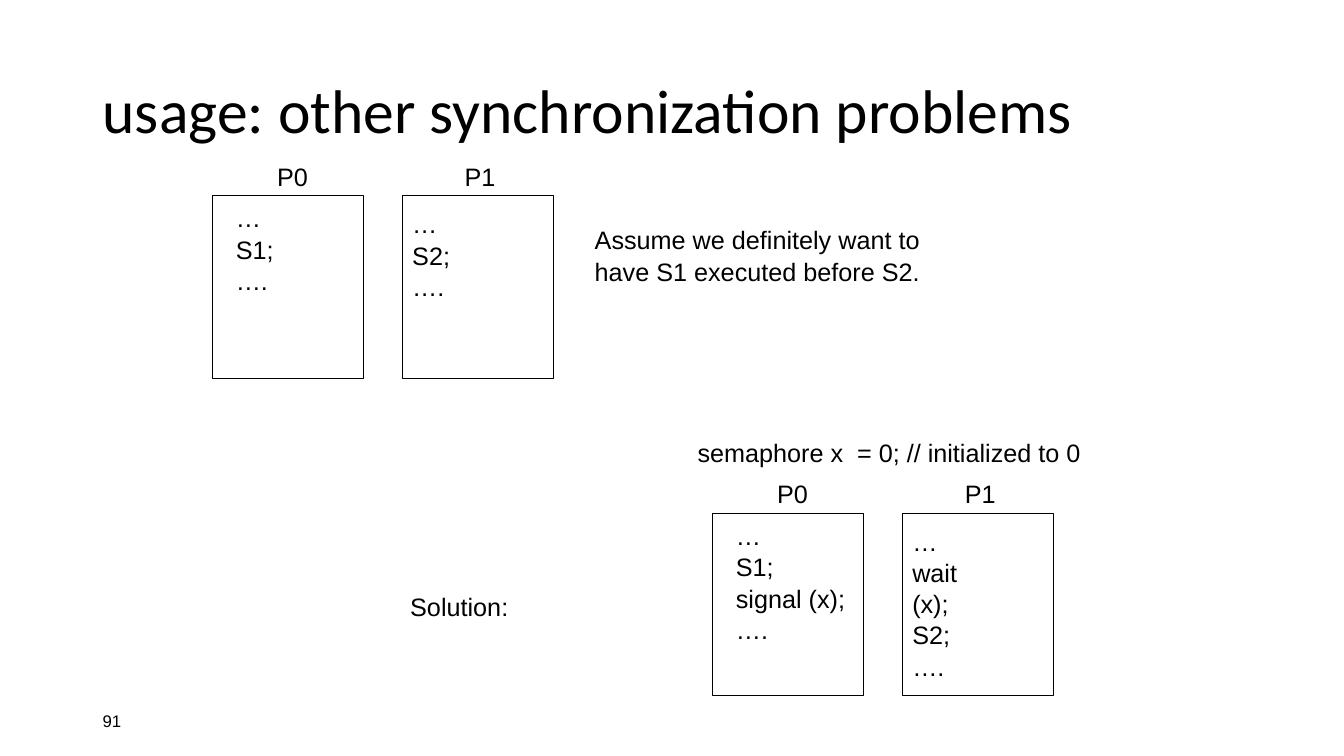
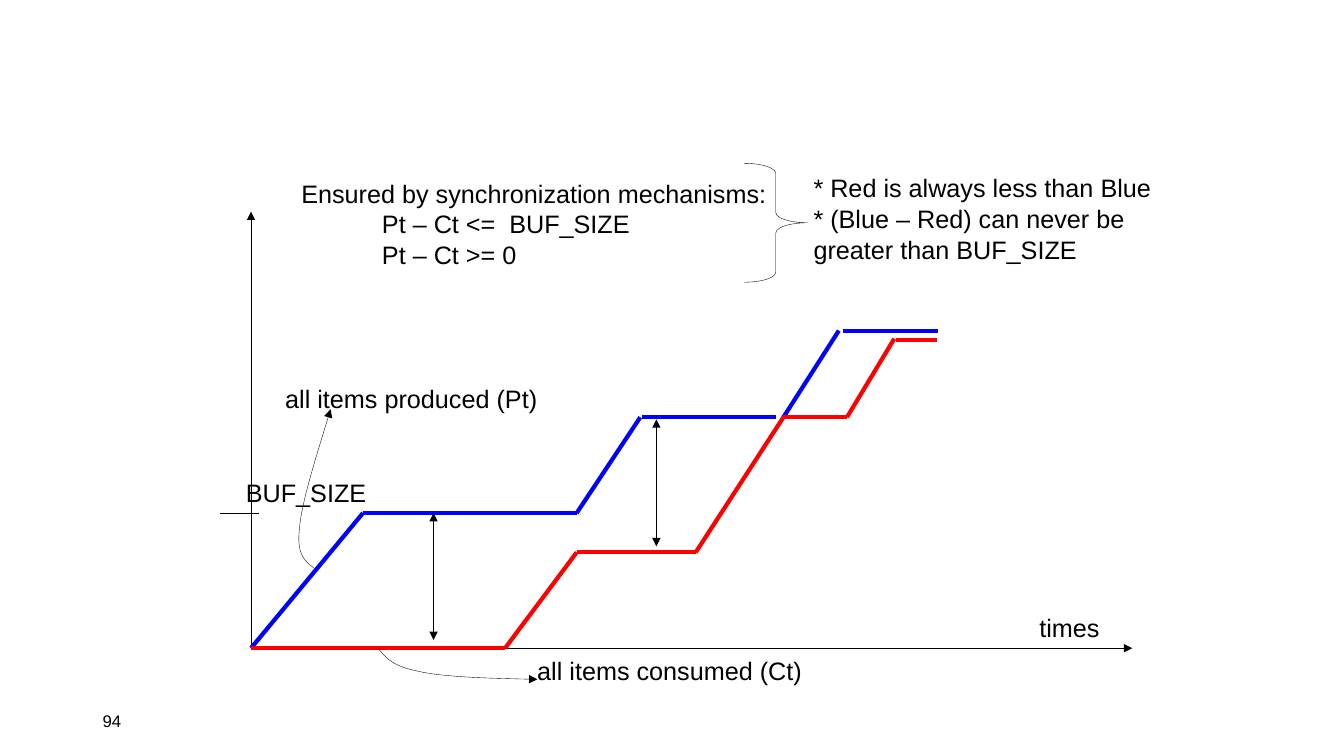
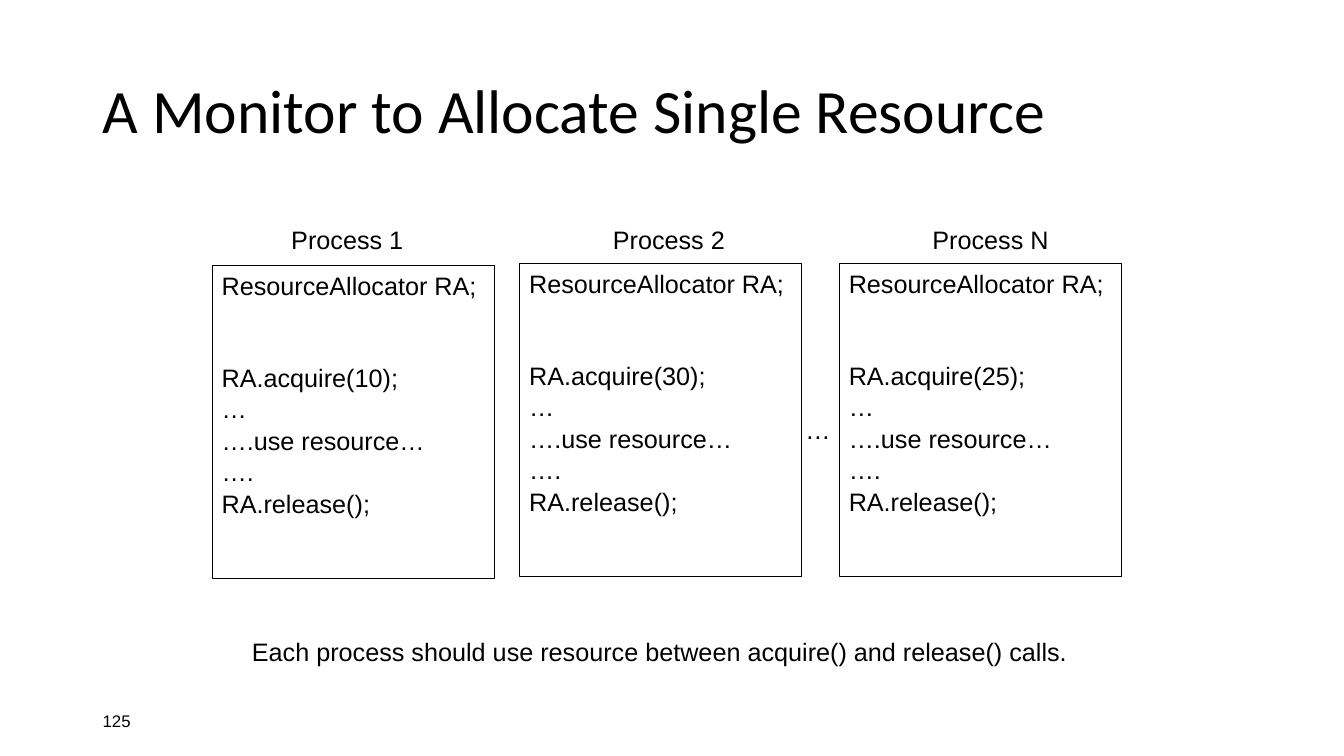
from dataclasses import dataclass
from itertools import pairwise

from lxml.etree import SubElement
from pptx import Presentation
from pptx.dml.color import RGBColor
from pptx.enum.shapes import MSO_CONNECTOR, MSO_SHAPE
from pptx.enum.text import MSO_ANCHOR, MSO_AUTO_SIZE, PP_ALIGN
from pptx.oxml.ns import qn
from pptx.util import Inches, Pt


@dataclass(frozen=True)
class Theme:
    """Colours, fonts, type sizes and line widths of the deck."""

    ink: RGBColor = RGBColor(0, 0, 0)
    produced: RGBColor = RGBColor(0, 0, 255)
    consumed: RGBColor = RGBColor(255, 0, 0)
    title_font: str = "Calibri"
    body_font: str = "Arial"
    title_size: float = 44
    body_size: float = 18
    number_size: float = 12
    hairline: float = 0.25
    curve_width: float = 3
    paragraph_gap: float = 0.9
    code_gap: float = 44.2


THEME = Theme()


def apply(target, values):
    """Set each named attribute of target."""
    for name, value in values.items():
        setattr(target, name, value)


def write(frame, lines, size=THEME.body_size, font=THEME.body_font, gaps=None, spacing=None):
    """Write one paragraph per line, with special gaps before chosen lines."""
    gaps = gaps or {}
    for index, line in enumerate(lines):
        paragraph = frame.paragraphs[0] if index == 0 else frame.add_paragraph()
        paragraph.text = line
        paragraph.alignment = PP_ALIGN.LEFT
        if index:
            paragraph.space_before = Pt(gaps.get(index, THEME.paragraph_gap))
        if spacing:
            paragraph.line_spacing = spacing
        apply(paragraph.font, {"size": Pt(size), "name": font})
        paragraph.font.color.rgb = THEME.ink


def add_text(slide, box, lines, wrap=False, **style):
    """Add a text box that grows with its lines."""
    frame = slide.shapes.add_textbox(*map(Inches, box)).text_frame
    apply(frame, {"word_wrap": wrap, "auto_size": MSO_AUTO_SIZE.SHAPE_TO_FIT_TEXT})
    write(frame, lines, **style)


def add_heading(slide, box, text, **style):
    """Add a fixed box whose text is centred vertically."""
    frame = slide.shapes.add_textbox(*map(Inches, box)).text_frame
    apply(frame, {"word_wrap": True, "vertical_anchor": MSO_ANCHOR.MIDDLE})
    write(frame, [text], **style)


def style_line(line, color=THEME.ink, width=THEME.hairline):
    """Set colour and width of a line."""
    line.color.rgb = color
    line.width = Pt(width)


def add_outline(slide, kind, box):
    """Add an unfilled shape with a thin outline."""
    shape = slide.shapes.add_shape(kind, *map(Inches, box))
    shape.shadow.inherit = False
    shape.fill.background()
    style_line(shape.line)
    return shape


def add_arrowheads(line, ends):
    """Put triangles on the given ends of a line."""
    properties = line.get_or_add_ln() if hasattr(line, "get_or_add_ln") else line._get_or_add_ln()
    for end in ends:
        SubElement(properties, qn(f"a:{end}"), type="triangle")


def add_line(slide, start, end, ends=(), **style):
    """Draw a straight line with optional arrowheads."""
    connector = slide.shapes.add_connector(
        MSO_CONNECTOR.STRAIGHT, *map(Inches, (*start, *end))
    )
    SubElement(connector._element.spPr, qn("a:effectLst"))
    style_line(connector.line, **style)
    add_arrowheads(connector.line, ends)


def bezier(start, first, second, end, steps=16):
    """Return points along a cubic curve, without its start."""
    points = []
    for step in range(1, steps + 1):
        t = step / steps
        weights = ((1 - t) ** 3, 3 * t * (1 - t) ** 2, 3 * t * t * (1 - t), t ** 3)
        controls = (start, first, second, end)
        points.append(tuple(
            sum(weight * control[axis] for weight, control in zip(weights, controls))
            for axis in (0, 1)
        ))
    return points


def add_curved_arrow(slide, start, *pieces):
    """Draw an open curve that ends in an arrowhead."""
    points = [start]
    for piece in pieces:
        points += bezier(points[-1], *piece)
    corners = [(Inches(x), Inches(y)) for x, y in points]
    builder = slide.shapes.build_freeform(*corners[0])
    builder.add_line_segments(corners[1:], close=False)
    arrow = builder.convert_to_shape()
    arrow.shadow.inherit = False
    arrow.fill.background()
    style_line(arrow.line)
    add_arrowheads(arrow.line, ["tailEnd"])


def new_slide(deck, number, title=None):
    """Start a slide with its number and optional title."""
    slide = deck.slides.add_slide(deck.slide_layouts[6])
    add_heading(slide, (0.92, 6.95, 3, 0.4), number, size=THEME.number_size)
    if title:
        add_heading(slide, (0.92, 0.4, 11.5, 1.45), title,
                    size=THEME.title_size, font=THEME.title_font, spacing=0.9)
    return slide


def process_pair(slide, left, top, codes):
    """Draw P0 and P1 side by side with their code."""
    layout = ((0.55, 0.14, 0.02), (0.52, 0, 0.08))
    for index, (code, offsets) in enumerate(zip(codes, layout)):
        label_dx, code_dx, code_dy = offsets
        x = left + index * 1.89
        height = 0.41 + 0.3 * (len(code) - 1)
        width = 0.65 if len(code) == 3 else (1.42, 1.07)[index]
        add_text(slide, (x + code_dx, top + code_dy, width, height), code)
        add_outline(slide, MSO_SHAPE.RECTANGLE, (x, top, 1.5, 1.81))
        add_text(slide, (x + label_dx, top - 0.39, 0.51, 0.41), [f"P{index}"])


def synchronization_slide(deck):
    """Build the ordering problem and its semaphore solution."""
    slide = new_slide(deck, "91", "usage: other synchronization problems")
    process_pair(slide, 2.1, 1.94, (["…", "S1;", "…."], ["…", "S2;", "…."]))
    add_text(slide, (5.8, 2.18, 3.52, 0.71),
             ["Assume we definitely want to", "have S1 executed before S2."])
    add_text(slide, (6.82, 4.29, 4.03, 0.41), ["semaphore x  = 0; // initialized to 0"])
    process_pair(slide, 7.06, 5.09, (["…", "S1;", "signal (x);", "…."],
                                     ["…", "wait (x);", "S2;", "…."]))
    add_text(slide, (3.97, 5.82, 1.18, 0.41), ["Solution:"])


def buffer_graph(slide, left, bottom):
    """Draw produced and consumed items over time from the given origin."""
    def at(point):
        return left + point[0], bottom - point[1]

    buffer, second, third = 1.34, 2.29, 3.15
    black_lines = (
        ((0, 0), (8.74, 0), ["tailEnd"]),
        ((0, 0), (0, 4.33), ["tailEnd"]),
        ((-0.31, buffer), (0.08, buffer), []),
        ((1.81, buffer), (1.81, 0.08), ["headEnd", "tailEnd"]),
        ((4.02, 2.27), (4.02, 1.01), ["headEnd", "tailEnd"]),
    )
    for start, end, ends in black_lines:
        add_line(slide, at(start), at(end), ends)

    series = {
        THEME.produced: (
            ((0, 0), (1.11, buffer), (2.52, buffer), (3.23, buffer), (3.86, second)),
            ((3.88, second), (5.21, second)),
            ((5.28, second), (5.83, third)),
            ((5.87, third), (6.81, third)),
        ),
        THEME.consumed: (
            ((0, 0), (2.52, 0), (3.23, 0.95), (4.41, 0.95),
             (5.28, second), (5.91, second), (6.38, 3.07)),
            ((6.4, 3.06), (6.8, 3.06)),
        ),
    }
    for color, stretches in series.items():
        for stretch in stretches:
            for start, end in pairwise(stretch):
                add_line(slide, at(start), at(end), color=color, width=THEME.curve_width)

    pointers = (
        ((0.63, 0.79), ((0.54, 0.86), (0.45, 0.92), (0.48, 1.18)),
         ((0.5, 1.45), (0.65, 1.91), (0.79, 2.37))),
        ((1.26, 0), ((1.33, -0.09), (1.4, -0.18), (1.66, -0.23)),
         ((1.92, -0.29), (2.38, -0.3), (2.84, -0.31))),
    )
    for start, *pieces in pointers:
        add_curved_arrow(slide, at(start), *([at(point) for point in piece] for piece in pieces))

    labels = (
        ("BUF_SIZE", (-0.15, 1.74), 1.48),
        ("all items produced (Pt)", (0.24, 2.68), 2.72),
        ("all items consumed (Ct)", (2.74, -0.02), 2.85),
        ("times", (7.72, 0.4), 0.8),
    )
    for text, corner, width in labels:
        add_text(slide, (*at(corner), width, 0.41), [text])


def invariant_notes(slide, left, top):
    """Write the two conditions, the brace and their meaning."""
    add_text(slide, (left, top + 0.1, 4.85, 0.41), ["Ensured by synchronization mechanisms:"])
    add_text(slide, (left + 0.8, top + 0.4, 2.68, 0.71),
             ["Pt – Ct <=  BUF_SIZE", "Pt – Ct >= 0"], gaps={1: 0})
    brace = add_outline(slide, MSO_SHAPE.RIGHT_BRACE, (left + 4.49, top, 0.63, 1.18))
    brace.adjustments[0] = 0.16
    add_text(slide, (left + 5.08, top + 0.04, 3.82, 1.01),
             ["* Red is always less than Blue",
              "* (Blue – Red) can never be greater than BUF_SIZE"], wrap=True)


def buffer_slide(deck):
    """Build the bounded buffer graph."""
    slide = new_slide(deck, "94")
    buffer_graph(slide, 2.49, 6.43)
    invariant_notes(slide, 2.89, 1.62)


def allocator_process(slide, left, top, name, name_box, amount):
    """Draw one process that acquires and releases the resource."""
    process = add_outline(slide, MSO_SHAPE.RECTANGLE, (left, top, 2.8, 3.11))
    frame = process.text_frame
    apply(frame, {"word_wrap": False, "vertical_anchor": MSO_ANCHOR.TOP})
    write(frame, ["ResourceAllocator RA;", f"RA.acquire({amount});", "…",
                  "….use resource…", "….", "RA.release();"], gaps={1: THEME.code_gap})
    name_dx, name_width = name_box
    add_text(slide, (left + name_dx, 2.18, name_width, 0.41), [name])


def monitor_slide(deck):
    """Build the row of processes that share one resource."""
    slide = new_slide(deck, "125", "A Monitor to Allocate Single Resource")
    processes = (
        (2.1, 2.63, "Process 1", (0.69, 1.32), 10),
        (5.15, 2.61, "Process 2", (0.83, 1.32), 30),
        (8.32, 2.61, "Process N", (0.83, 1.36), 25),
    )
    for process in processes:
        allocator_process(slide, *process)
    add_text(slide, (7.89, 4.06, 0.45, 0.41), ["…"])
    add_text(slide, (2.4, 6.26, 8.36, 0.41),
             ["Each process should use resource between acquire() and release() calls."])


def main():
    """Build and save the deck."""
    deck = Presentation()
    apply(deck, {"slide_width": Inches(13.33), "slide_height": Inches(7.5)})
    for build in (synchronization_slide, buffer_slide, monitor_slide):
        build(deck)
    deck.save("out.pptx")


if __name__ == "__main__":
    main()
